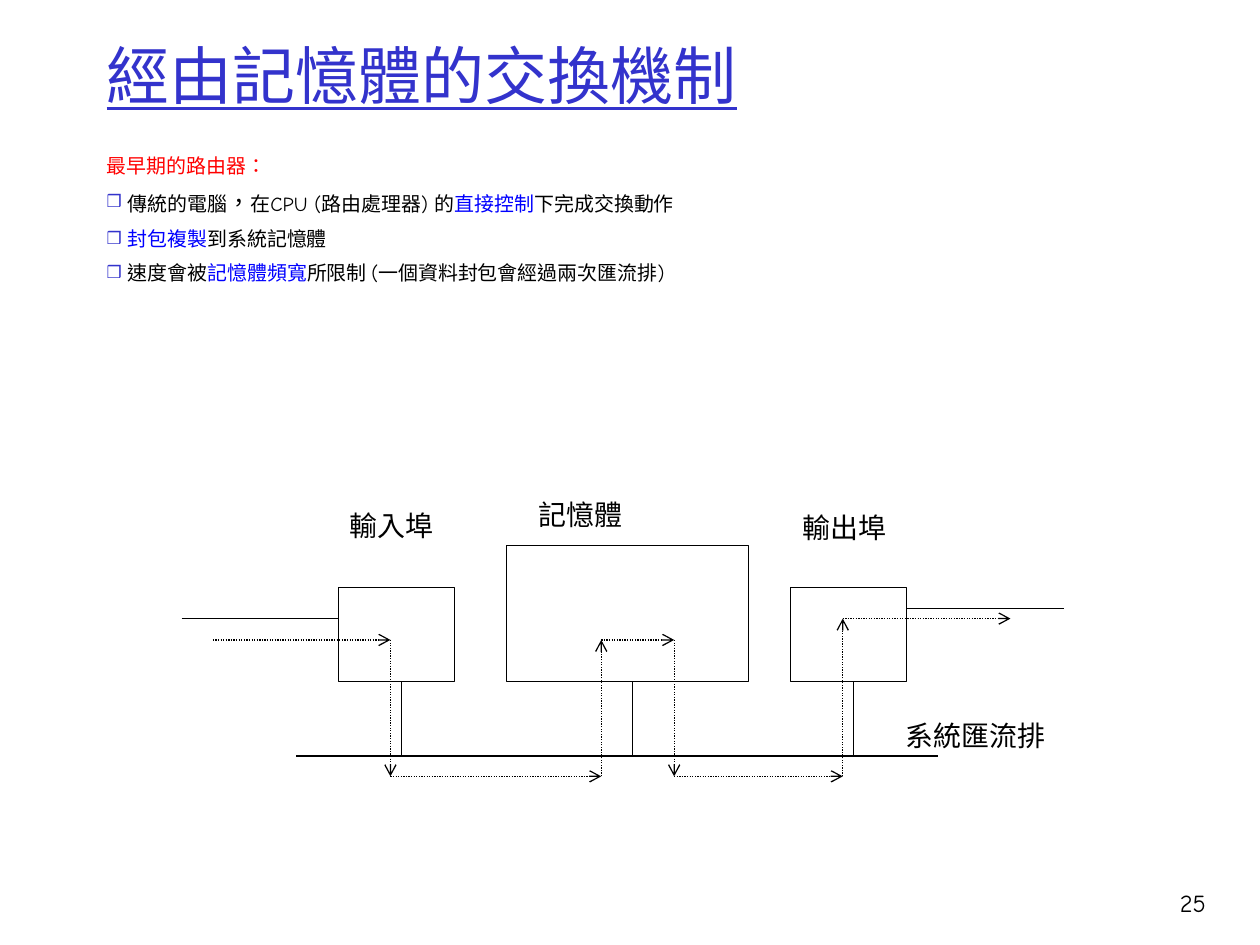
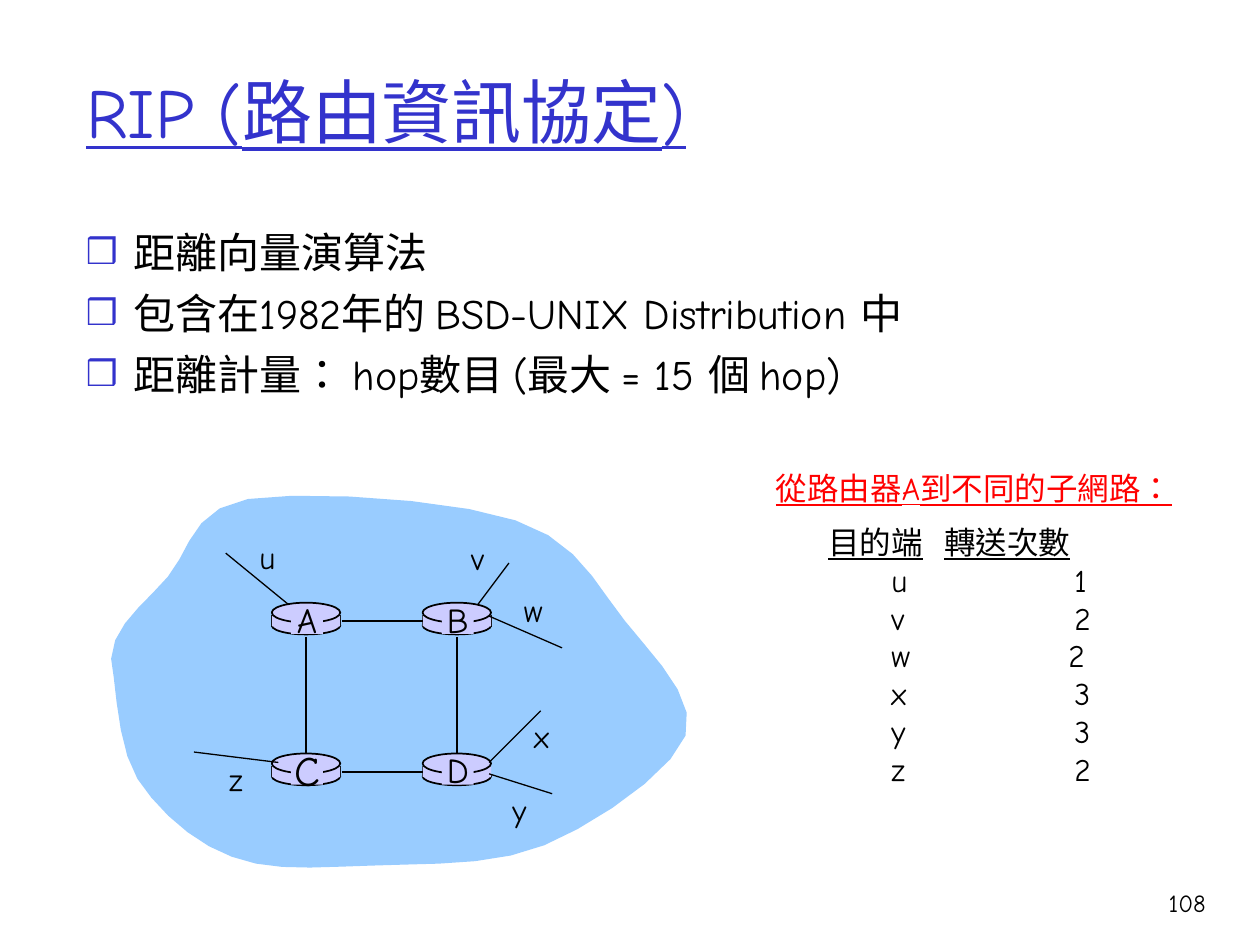
from dataclasses import dataclass
from itertools import pairwise, product

import pptx
import pptx.dml.color
import pptx.enum.dml
import pptx.enum.lang
import pptx.enum.shapes
import pptx.enum.text
import pptx.oxml
import pptx.oxml.ns
import pptx.util

Cm = pptx.util.Cm
Pt = pptx.util.Pt
ALIGN = pptx.enum.text.PP_ALIGN
ANCHOR = pptx.enum.text.MSO_ANCHOR
SHAPE = pptx.enum.shapes.MSO_SHAPE
TAIWAN = pptx.enum.lang.MSO_LANGUAGE_ID.TAIWAN if hasattr(
    pptx.enum.lang.MSO_LANGUAGE_ID, "TAIWAN") else pptx.enum.lang.MSO_LANGUAGE_ID.TRADITIONAL_CHINESE


@dataclass(frozen=True)
class Theme:
    # Fonts
    main_font: str = "Comic Neue"
    diagram_font: str = "Times New Roman"
    bullet_font: str = "Arial"
    # Colours
    ink: str = "000000"
    accent: str = "3333CC"
    keyword: str = "0000FF"
    alert: str = "FF0000"
    cloud: str = "99CCFF"
    router: str = "CCCCFF"
    # Type sizes
    title_large: float = 40
    title: float = 36
    body: float = 24
    router_label: float = 20
    note: float = 18
    diagram: float = 16
    page: float = 14
    wide_comma: float = 13.3
    small_body: float = 11.4
    # Line widths
    thin: float = 0.75
    outline: float = 1


def rgb(colour):
    return pptx.dml.color.RGBColor.from_string(colour)


def append_xml(parent, tag, **attributes):
    child = pptx.oxml.parse_xml(f"<a:{tag} {pptx.oxml.ns.nsdecls('a')}/>")
    for name, value in attributes.items():
        child.set(name, str(value))
    parent.append(child)
    return child


class Deck:
    def __init__(self, theme):
        self.theme = theme
        self.presentation = pptx.Presentation()
        self.presentation.slide_width = Cm(25.4)
        self.presentation.slide_height = Cm(19.05)
        self.slide = None

    def new_slide(self, title, title_box, title_size, page):
        """Start a slide with its underlined title and page number."""
        self.slide = self.presentation.slides.add_slide(self.presentation.slide_layouts[6])
        self.text(title_box, [[(title, {"underline": True})]], title_size,
                  colour=self.theme.accent, anchor=ANCHOR.MIDDLE)
        self.text((22.68, 17.78, 1.88, 1.27), [page], self.theme.page, align=ALIGN.RIGHT)

    def text(self, box, lines, size, font=None, colour=None, align=ALIGN.LEFT,
             anchor=ANCHOR.TOP, wrap=True):
        """Each line is a string or a list of (text, style) runs."""
        frame = self.slide.shapes.add_textbox(*map(Cm, box)).text_frame
        frame.word_wrap = wrap
        if not wrap:
            frame.auto_size = pptx.enum.text.MSO_AUTO_SIZE.SHAPE_TO_FIT_TEXT
        frame.vertical_anchor = anchor
        for index, line in enumerate(lines):
            paragraph = frame.add_paragraph() if index else frame.paragraphs[0]
            paragraph.alignment = align
            for words, style in [(line, {})] if isinstance(line, str) else line:
                run = paragraph.add_run()
                run.text = words
                run.font.language_id = TAIWAN
                run.font.name = font or self.theme.main_font
                run.font.size = Pt(style.get("size", size))
                run.font.underline = style.get("underline", False)
                run.font.color.rgb = rgb(style.get("colour", colour or self.theme.ink))
        return frame.paragraphs

    def bullets(self, paragraphs, indent):
        for paragraph in paragraphs:
            properties = paragraph._p.get_or_add_pPr()
            properties.set("marL", str(Cm(indent)))
            properties.set("indent", str(-Cm(indent)))
            append_xml(append_xml(properties, "buClr"), "srgbClr", val=self.theme.accent)
            append_xml(properties, "buSzPct", val=85000)
            append_xml(properties, "buFont", typeface=self.theme.bullet_font)
            append_xml(properties, "buChar", char="❒")

    def space_out(self, paragraphs):
        for paragraph in paragraphs[1:]:
            paragraph.space_before = Pt(6)

    def tab_stop(self, paragraph, *positions):
        stops = append_xml(paragraph._p.get_or_add_pPr(), "tabLst")
        for position in positions:
            append_xml(stops, "tab", pos=Cm(position), algn="l")

    def paint(self, shape, fill=None, line_width=None):
        shape.shadow.inherit = False
        if fill:
            shape.fill.solid()
            shape.fill.fore_color.rgb = rgb(fill)
        else:
            shape.fill.background()
        if line_width:
            shape.line.color.rgb = rgb(self.theme.ink)
            shape.line.width = Pt(line_width)
        else:
            shape.line.fill.background()

    def shape(self, kind, box, fill=None, line_width=None):
        self.paint(self.slide.shapes.add_shape(kind, *map(Cm, box)), fill, line_width)

    def line(self, start, end, width=None, dotted_arrow=False):
        connector = self.slide.shapes.add_connector(
            pptx.enum.shapes.MSO_CONNECTOR.STRAIGHT, *map(Cm, (*start, *end)))
        connector.line.color.rgb = rgb(self.theme.ink)
        connector.line.width = Pt(width or self.theme.thin)
        if dotted_arrow:
            connector.line.dash_style = pptx.enum.dml.MSO_LINE.ROUND_DOT
            append_xml(connector.line._get_or_add_ln(), "tailEnd", type="arrow")
        append_xml(connector._element.spPr, "effectLst")

    def curved_area(self, start, curves, fill, steps=5):
        """Outline made of cubic curves, each given as two handles and an end."""
        points, origin = [], start
        for handle1, handle2, end in curves:
            for step in range(1, steps + 1):
                t = step / steps
                weights = ((1 - t) ** 3, 3 * t * (1 - t) ** 2, 3 * t * t * (1 - t), t ** 3)
                knots = (origin, handle1, handle2, end)
                points.append(tuple(
                    Cm(sum(w * knot[axis] for w, knot in zip(weights, knots)))
                    for axis in (0, 1)))
            origin = end
        builder = self.slide.shapes.build_freeform(*map(Cm, start))
        builder.add_line_segments(points, close=True)
        self.paint(builder.convert_to_shape(), fill)

    def router(self, left, top, sides):
        look = (self.theme.router, self.theme.outline)
        self.shape(SHAPE.OVAL, (left, top + 0.28, 1.38, 0.36), *look)
        for side in (left, left + 1.38)[:sides]:
            self.line((side, top + 0.25), (side, top + 0.48), self.theme.outline)
        self.shape(SHAPE.RECTANGLE, (left, top + 0.25, 1.38, 0.23), self.theme.router)
        self.shape(SHAPE.OVAL, (left, top, 1.38, 0.4), *look)

    def router_name(self, name, left, top, size):
        self.shape(SHAPE.RECTANGLE, (left + 0.39, top + 0.05, 0.64, 0.58), self.theme.router)
        self.text((left + 0.21, top - 0.23, 1, 1.12), [name], size,
                  align=ALIGN.CENTER, anchor=ANCHOR.MIDDLE, wrap=False)


def memory_switching(deck):
    theme = deck.theme
    deck.new_slide("經由記憶體的交換機制", (1.9, 0.64, 21.6, 1.7), theme.title, "25")

    # Properties of early routers
    keyword = {"colour": theme.keyword}
    properties = deck.text((1.9, 2.97, 21.8, 2.97), [
        [("最早期的路由器：", {"colour": theme.alert})],
        [("傳統的電腦", {}), ("，", {"size": theme.wide_comma}),
         ("在CPU (路由處理器) 的", {}), ("直接控制", keyword), ("下完成交換動作", {})],
        [("封包複製", keyword), ("到系統記憶體", {})],
        [("速度會被", {}), ("記憶體頻寬", keyword),
         ("所限制 (一個資料封包會經過兩次匯流排)", {})],
    ], theme.small_body)
    deck.bullets(properties[1:], 0.42)
    deck.space_out(properties)

    # Ports and memory, each dropping to the bus
    units_bottom, bus_y = 13.74, 15.24
    for left, width, height, drop_x in (
            (6.83, 2.34, 1.9, 8.1), (10.21, 4.88, 2.74, 12.75), (15.93, 2.34, 1.9, 17.2)):
        deck.shape(SHAPE.RECTANGLE, (left, units_bottom - height, width, height),
                   line_width=theme.thin)
        deck.line((drop_x, units_bottom), (drop_x, bus_y))
    deck.line((5.97, bus_y), (18.9, bus_y))
    deck.line((3.66, 12.47), (6.83, 12.47))
    deck.line((18.27, 12.27), (21.44, 12.27))

    # Packet route, crossing the bus twice
    inside_y, below_bus_y, out_y = 12.9, 15.65, 12.47
    route = [(4.29, inside_y), (7.87, inside_y), (7.87, below_bus_y),
             (12.12, below_bus_y), (12.12, inside_y), (13.59, inside_y),
             (13.59, below_bus_y), (16.99, below_bus_y), (16.99, out_y), (20.37, out_y)]
    for start, end in pairwise(route):
        deck.line(start, end, dotted_arrow=True)

    # Unit names
    for name, left, top, width in (
            ("輸入埠", 6.8, 10.12, 2.4), ("輸出埠", 15.93, 10.16, 2.4),
            ("記憶體", 10.61, 9.91, 2.4), ("系統匯流排", 18.01, 14.37, 3.5)):
        deck.text((left, top, width, 0.94), [name], theme.diagram, font=theme.diagram_font)


def rip(deck):
    theme = deck.theme
    deck.new_slide("RIP (路由資訊協定)", (1.49, 0.64, 22.7, 3.18), theme.title_large, "108")

    # Features
    features = deck.text((1.48, 4.45, 22.86, 4.7), [
        "距離向量演算法",
        "包含在1982年的 BSD-UNIX Distribution 中",
        "距離計量： hop數目 (最大 = 15 個 hop)",
    ], theme.body)
    deck.bullets(features, 0.96)
    deck.space_out(features)

    # Network cloud
    deck.curved_area((2.24, 13.28), [
        ((2.26, 12.62), (2.92, 12.17), (3.38, 11.63)),
        ((3.84, 11.1), (3.84, 10.26), (5, 10.06)),
        ((6.17, 9.88), (9.14, 10.06), (10.39, 10.49)),
        ((11.66, 10.9), (12.01, 11.79), (12.6, 12.52)),
        ((13.16, 13.23), (14.07, 14.07), (13.82, 14.83)),
        ((13.54, 15.57), (12.01, 16.61), (10.97, 17.04)),
        ((9.91, 17.48), (8.51, 17.4), (7.47, 17.45)),
        ((6.4, 17.48), (5.46, 17.58), (4.67, 17.27)),
        ((3.89, 16.99), (3.18, 16.33), (2.77, 15.7)),
        ((2.36, 15.04), (2.34, 13.79), (2.24, 13.28)),
    ], theme.cloud)

    # Routers on a two by two grid, linked along its edges
    columns, rows = (5.48, 8.52), (12.15, 15.19)
    routers = dict(zip("ABCD", ((left, top) for top, left in product(rows, columns))))
    for name, place in routers.items():
        deck.router(*place, sides=1 if name == "D" else 2)
    for top in rows:
        deck.line((columns[0] + 1.41, top + 0.37), (columns[1], top + 0.37), theme.outline)
    for left in columns:
        deck.line((left + 0.69, rows[0] + 0.69), (left + 0.69, rows[1] - 0.02), theme.outline)
    for name, place in routers.items():
        size = theme.body if name == "C" else theme.router_label
        deck.router_name(name, *place, size)

    # Subnets: line from the router outwards, then the label corner
    for name, start, end, corner in (
            ("u", (5.82, 12.19), (4.55, 11.15), (4.98, 10.72)),
            ("v", (9.63, 12.19), (10.26, 11.35), (9.25, 10.74)),
            ("w", (9.86, 12.42), (11.33, 13.06), (10.31, 11.79)),
            ("x", (9.86, 15.37), (10.9, 14.33), (10.52, 14.33)),
            ("y", (9.86, 15.6), (11.13, 16), (10.08, 15.82)),
            ("z", (5.61, 15.37), (3.91, 15.16), (4.37, 15.19))):
        deck.line(start, end)
        deck.text((*corner, 0.82, 1.02), [name], theme.note, wrap=False)

    # Hop counts from router A
    underline = {"underline": True}
    hops = {"u": 1, "v": 2, "w": 2, "x": 3, "y": 3, "z": 2}
    header, *hop_rows = deck.text(
        (16.45, 10.42, 6, 6.35),
        [[("目的端", underline), ("\t", {}), ("轉送次數", underline)]]
        + [f"\t{subnet}\t{count}" for subnet, count in hops.items()], theme.note)
    deck.tab_stop(header, 2.34)
    for subnet, row in zip(hops, hop_rows):
        deck.tab_stop(row, 1.27, 4.84 if subnet == "w" else 4.96)
    deck.text((15.39, 9.33, 8.79, 1.02), [[("從路由器A到不同的子網路：", underline)]],
              theme.note, colour=theme.alert, wrap=False)


def main():
    deck = Deck(Theme())
    memory_switching(deck)
    rip(deck)
    deck.presentation.save("out.pptx")


if __name__ == "__main__":
    main()
